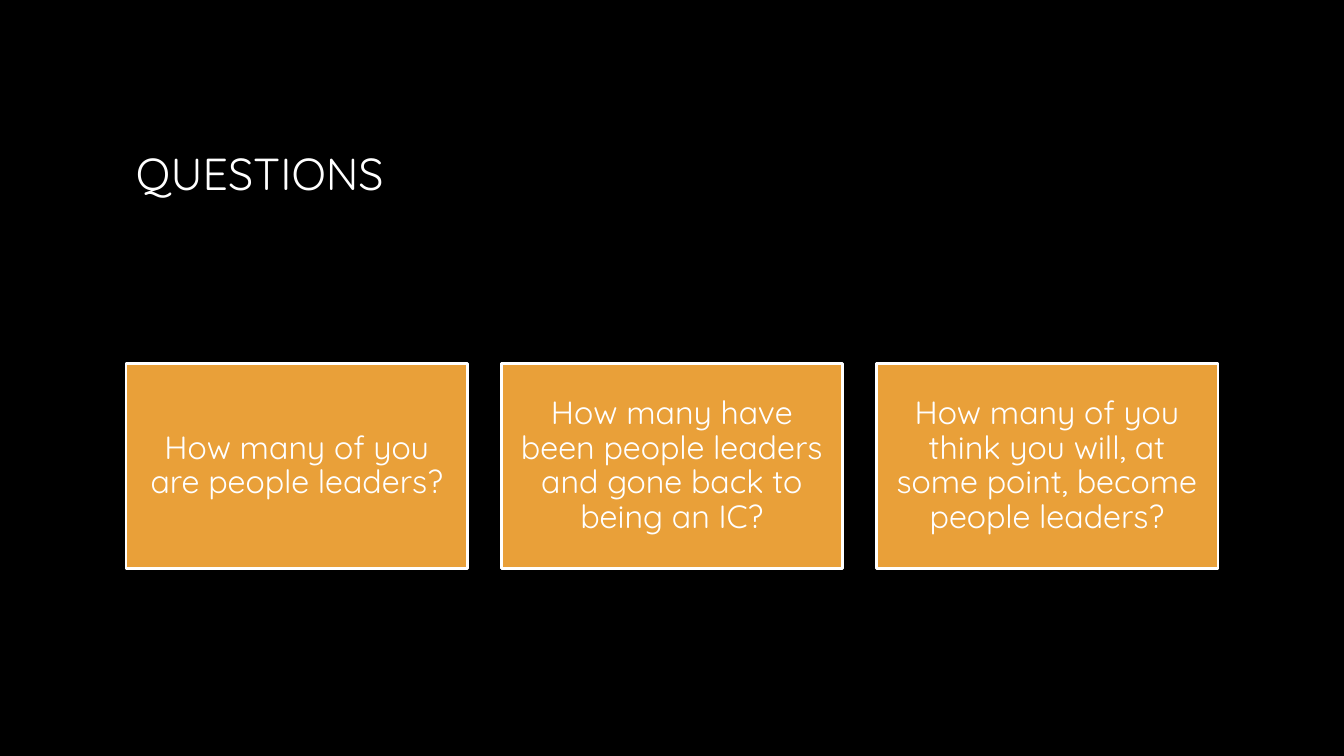
"""Build the Questions slide: a title above three equally spaced question cards."""
import dataclasses

import pptx
import pptx.dml.color
import pptx.enum.shapes
import pptx.enum.text
import pptx.util

Inches = pptx.util.Inches
Pt = pptx.util.Pt
Color = pptx.dml.color.RGBColor
Align = pptx.enum.text.PP_ALIGN


@dataclasses.dataclass(frozen=True)
class Theme:
    background: Color = Color(0x00, 0x00, 0x00)
    card: Color = Color(0xE9, 0xA0, 0x39)
    light: Color = Color(0xFF, 0xFF, 0xFF)
    font: str = "Quicksand"
    title_size: int = 32
    card_size: int = 23
    border: int = 2


theme = Theme()


def write(box, text, *, size, align=Align.LEFT, line_spacing=1.0, inset=(0.1, 0.05)):
    frame = box.text_frame
    frame.word_wrap = True
    frame.vertical_anchor = pptx.enum.text.MSO_ANCHOR.MIDDLE
    frame.margin_left = frame.margin_right = Inches(inset[0])
    frame.margin_top = frame.margin_bottom = Inches(inset[1])
    para = frame.paragraphs[0]
    para.alignment = align
    para.line_spacing = line_spacing
    span = para.add_run()
    span.text = text
    span.font.name = theme.font
    span.font.size = Pt(size)
    span.font.color.rgb = theme.light


deck = pptx.Presentation()
deck.slide_width = Inches(13.33)
deck.slide_height = Inches(7.5)
page = deck.slides.add_slide(deck.slide_layouts[6])
page.background.fill.solid()
page.background.fill.fore_color.rgb = theme.background

left, content_width = 1.25, 10.83
title = page.shapes.add_textbox(
    Inches(left), Inches(0.67), Inches(content_width), Inches(2.08)
)
write(title, "QUESTIONS", size=theme.title_size)

questions = [
    "How many of you are people leaders?",
    "How many have been people leaders and gone back to being an IC?",
    "How many of you think you will, at some point, become people leaders?",
]
card_top, card_width, card_height = 3.61, 3.39, 2.03
step = (content_width - card_width) / (len(questions) - 1)

for index, question in enumerate(questions):
    card = page.shapes.add_shape(
        pptx.enum.shapes.MSO_SHAPE.RECTANGLE,
        Inches(left + index * step), Inches(card_top),
        Inches(card_width), Inches(card_height),
    )
    card.shadow.inherit = False
    card.fill.solid()
    card.fill.fore_color.rgb = theme.card
    card.line.color.rgb = theme.light
    card.line.width = Pt(theme.border)
    write(card, question, size=theme.card_size, align=Align.CENTER,
          line_spacing=0.9, inset=(0.1, 0.1))

deck.save("out.pptx")
